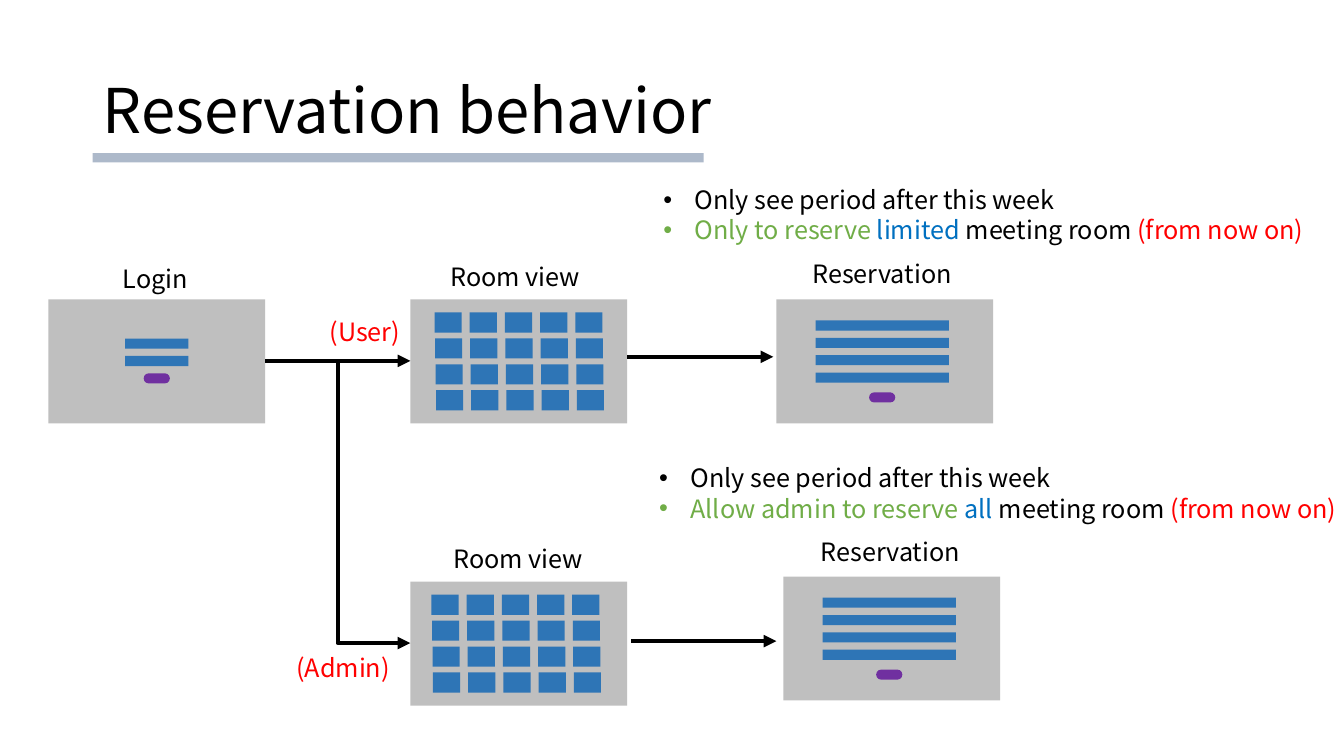
from pptx import Presentation
from pptx.dml.color import RGBColor
from pptx.enum.shapes import MSO_CONNECTOR, MSO_SHAPE
from pptx.enum.text import MSO_ANCHOR
from pptx.oxml.ns import qn
from pptx.util import Inches, Pt
from lxml.etree import SubElement

FONT = "Noto Sans CJK SC"
COLORS = {
    "black": "000000", "red": "FF0000", "green": "70AD47", "blue": "0070C0",
    "screen": "BFBFBF", "field": "2E75B6", "button": "7030A0", "rule": "ADB9CA",
}
SCREEN_W, SCREEN_H = 21.5, 12.3
FIELD_H, FIELD_PITCH = 1, 1.72
BUTTON_W = 2.6
ROOM_W, ROOM_H = 2.7, 2
ROOM_PITCH_X, ROOM_PITCH_Y = 3.49, 2.57


def grid(n):
    """Length of n cells on a grid of tenths of an inch."""
    return Inches(n / 10)


def rgb(name):
    return RGBColor.from_string(COLORS[name])


def add_box(shapes, color, x, y, w, h, kind=MSO_SHAPE.RECTANGLE):
    sp = shapes.add_shape(kind, grid(x), grid(y), grid(w), grid(h))
    sp.shadow.inherit = False
    sp.fill.solid()
    sp.fill.fore_color.rgb = rgb(color)
    sp.line.fill.background()
    return sp


def add_bullet(p, color):
    pPr = p._p.get_or_add_pPr()
    indent = Inches(0.31)
    pPr.set("marL", str(indent))
    pPr.set("indent", str(-indent))
    clr = SubElement(pPr, qn("a:buClr"))
    SubElement(clr, qn("a:srgbClr"), val=COLORS[color])
    SubElement(pPr, qn("a:buFont"), typeface="Arial")
    SubElement(pPr, qn("a:buChar"), char="•")


def add_text(s, paragraphs, x, y, w, h=4, size=18, bullets=False):
    """Each paragraph is a list of (text, color) runs."""
    tf = s.shapes.add_textbox(grid(x), grid(y), grid(w), grid(h)).text_frame
    tf.word_wrap = True
    for i, runs in enumerate(paragraphs):
        p = tf.paragraphs[0] if i == 0 else tf.add_paragraph()
        if bullets:
            add_bullet(p, runs[0][1])
        for text, color in runs:
            r = p.add_run()
            r.text = text
            r.font.name = FONT
            r.font.size = Pt(size)
            r.font.color.rgb = rgb(color)
    return tf


def add_label(s, text, x, y, w, color="black"):
    add_text(s, [[(text, color)]], x, y, w)


def add_title(s, text):
    tf = add_text(s, [[(text, "black")]], 9.2, 4, 115, 14.5, size=44)
    tf.vertical_anchor = MSO_ANCHOR.MIDDLE
    tf.paragraphs[0].line_spacing = 0.9
    add_box(s.shapes, "rule", 9.2, 15.2, 60.6, 0.9)


def add_rules(s, x, y, w, action, scope):
    """Bulleted reservation rules of one role."""
    add_text(s, [
        [("Only see period after this week", "black")],
        [(action, "green"), (scope, "blue"),
         (" meeting room ", "black"), ("(from now on)", "red")],
    ], x, y, w, 7.1, bullets=True)


def add_screen(s, x, y):
    add_box(s.shapes, "screen", x, y, SCREEN_W, SCREEN_H)


def add_form(s, x, y, w, count, gap=0):
    """Stack of input fields with a centred button below."""
    shapes = s.shapes.add_group_shape().shapes
    for i in range(count):
        add_box(shapes, "field", x, y + i * FIELD_PITCH, w, FIELD_H)
    button = add_box(shapes, "button", x + (w - BUTTON_W) / 2,
                     y + count * FIELD_PITCH + gap, BUTTON_W, FIELD_H,
                     MSO_SHAPE.ROUNDED_RECTANGLE)
    button.adjustments[0] = 0.5


def add_rooms(s, x, y, rows=4, cols=5):
    shapes = s.shapes.add_group_shape().shapes
    for row in range(rows):
        for col in range(cols):
            add_box(shapes, "field", x + col * ROOM_PITCH_X + row * 0.05,
                    y + row * ROOM_PITCH_Y, ROOM_W, ROOM_H)


def add_arrow(s, x1, y1, x2, y2, kind=MSO_CONNECTOR.STRAIGHT):
    c = s.shapes.add_connector(kind, grid(x1), grid(y1), grid(x2), grid(y2))
    c.line.color.rgb = rgb("black")
    c.line.width = Pt(3)
    SubElement(c.line._get_or_add_ln(), qn("a:tailEnd"), type="triangle")
    SubElement(c._element.spPr, qn("a:effectLst"))


def add_reservation(s, x, y, label_x, label_y):
    add_screen(s, x, y)
    add_label(s, "Reservation", label_x, label_y, 16.2)
    add_form(s, x + 3.9, y + 2.1, 13.2, 4, gap=0.25)


def add_room_view(s, y, label_x, rooms_x):
    add_screen(s, 40.7, y)
    add_label(s, "Room view", label_x, y - 4.3, 15.4)
    add_rooms(s, rooms_x, y + 1.3)


def main():
    prs = Presentation()
    prs.slide_width, prs.slide_height = Inches(13.33), Inches(7.5)
    s = prs.slides.add_slide(prs.slide_layouts[6])

    add_title(s, "Reservation behavior")

    add_screen(s, 4.8, 29.7)
    add_label(s, "Login", 11.2, 25.6, 8.8)
    add_form(s, 12.4, 33.6, 6.3, 2)

    add_room_view(s, 29.7, 43.7, 43.1)
    add_room_view(s, 57.7, 44, 42.8)
    add_reservation(s, 77, 29.7, 79.6, 25.1)
    add_reservation(s, 77.7, 57.2, 80.4, 52.7)

    add_arrow(s, 26.3, 35.8, 40.7, 35.8)
    add_arrow(s, 26.3, 35.8, 40.7, 63.8, MSO_CONNECTOR.ELBOW)
    add_arrow(s, 62.2, 35.4, 76.7, 35.4)
    add_arrow(s, 62.6, 63.6, 77, 63.6)

    add_label(s, "(User)", 31.7, 30.9, 9.2, "red")
    add_label(s, "(Admin)", 28.4, 64.2, 11.7, "red")
    add_rules(s, 64.8, 17.8, 68.9, "Only to reserve ", "limited")
    add_rules(s, 64.4, 45.4, 72.7, "Allow admin to reserve ", "all")

    prs.save("out.pptx")


if __name__ == "__main__":
    main()
